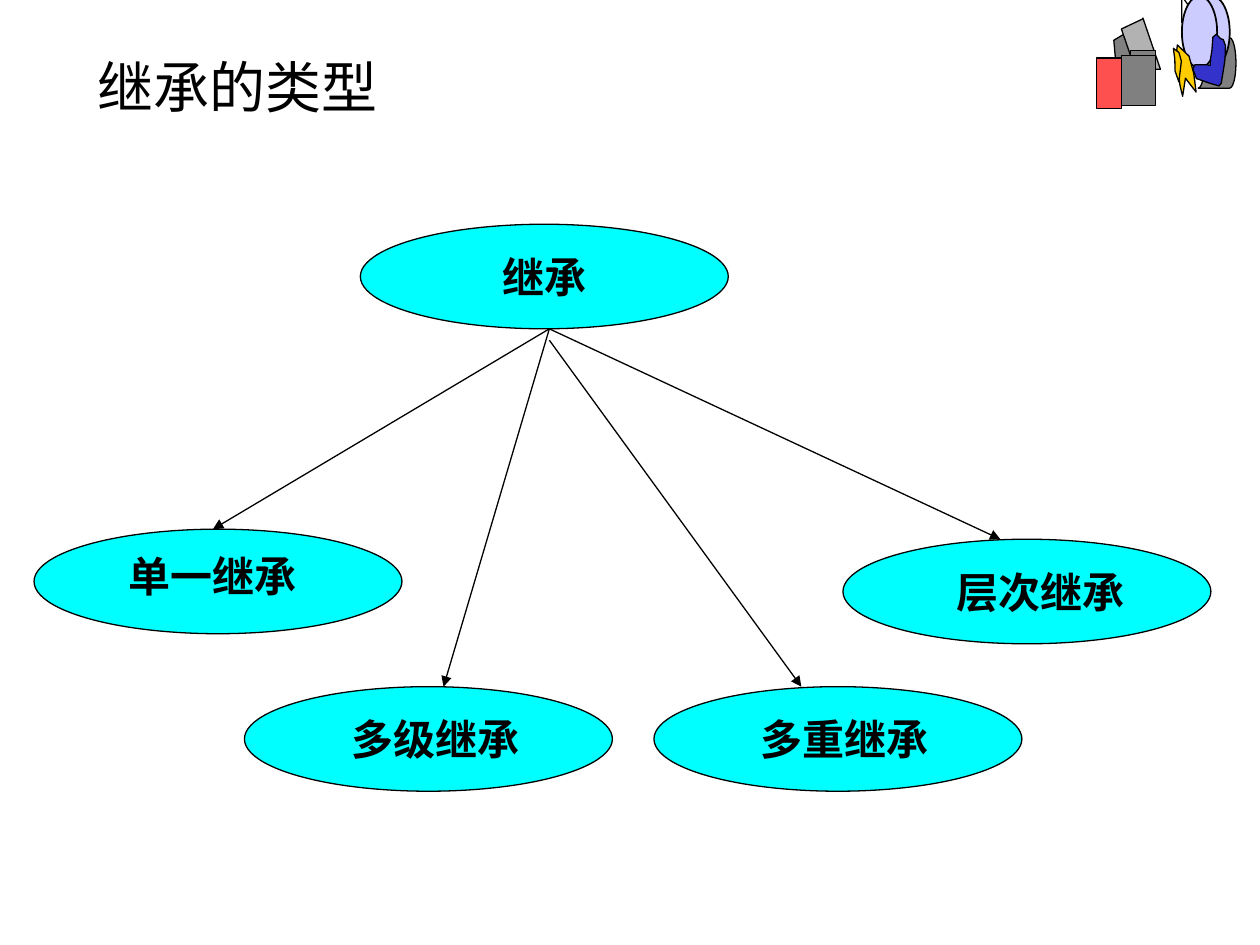
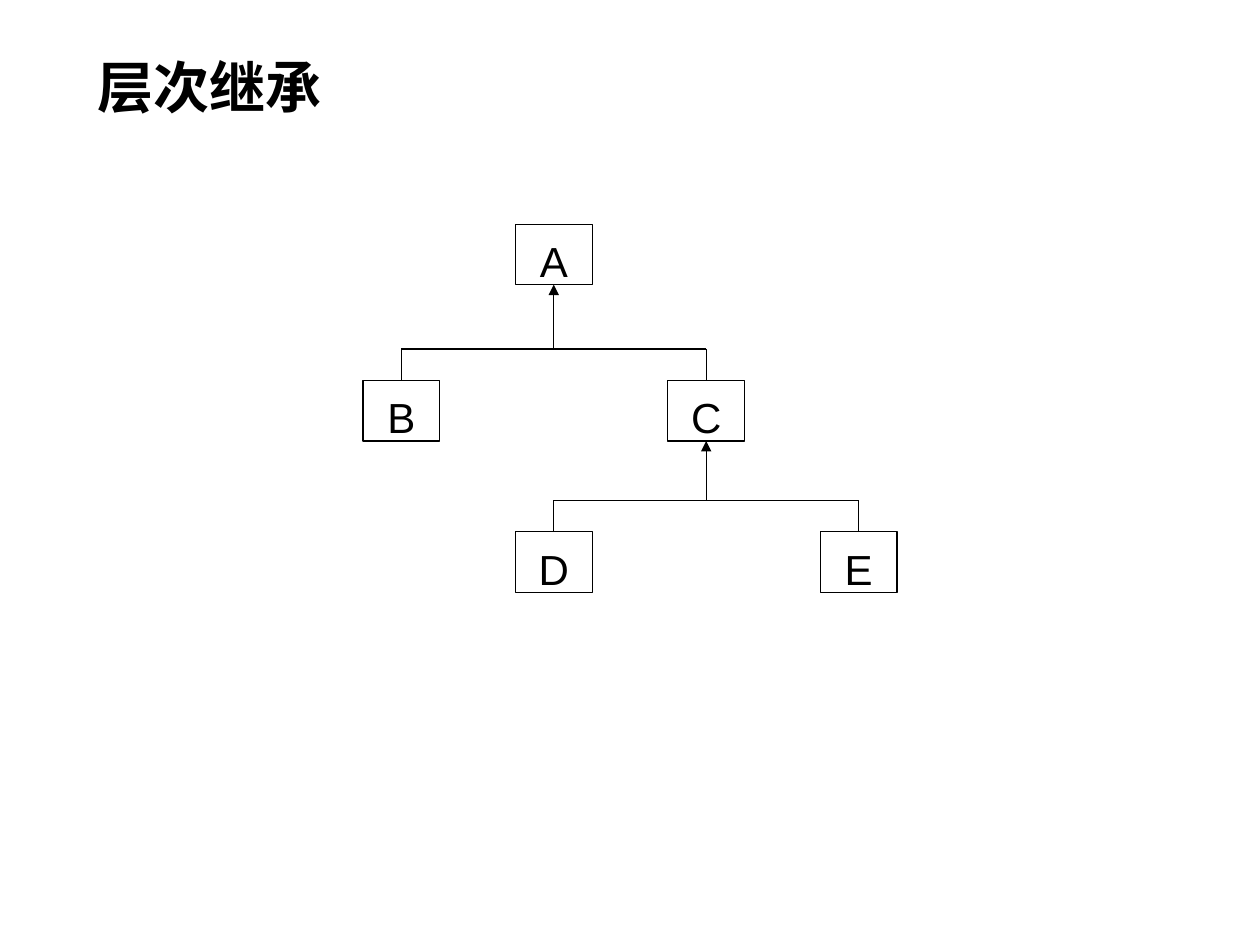
import pptx
import pptx.util
import pptx.dml.color
import pptx.enum.shapes
import pptx.enum.text
import pptx.oxml.ns
from lxml import etree

Inches, Pt = pptx.util.Inches, pptx.util.Pt
RGB = pptx.dml.color.RGBColor
Kind = pptx.enum.shapes.MSO_SHAPE
Wire = pptx.enum.shapes.MSO_CONNECTOR
Align = pptx.enum.text.PP_ALIGN
Anchor = pptx.enum.text.MSO_ANCHOR
qn = pptx.oxml.ns.qn

BLACK = RGB(0x00, 0x00, 0x00)
WHITE = RGB(0xFF, 0xFF, 0xFF)
CYAN = RGB(0x00, 0xFF, 0xFF)
GREY = RGB(0x80, 0x80, 0x80)
SILVER = RGB(0xB2, 0xB2, 0xB2)
RED = RGB(0xFF, 0x50, 0x50)
LILAC = RGB(0xCC, 0xCC, 0xFF)
BLUE = RGB(0x33, 0x33, 0xCC)
GOLD = RGB(0xFF, 0xCC, 0x00)
HAN = "Noto Sans CJK SC"
LABEL = {"size": Pt(24), "bold": True, "name": HAN}
LETTER = {"size": Pt(24), "bold": False, "name": "Arial"}
TILT = 352.8


def write(shape, text, style, align=Align.CENTER, anchor=Anchor.MIDDLE, wrap=True):
    """Put one styled paragraph in a shape."""
    frame = shape.text_frame
    form = {"word_wrap": wrap, "vertical_anchor": anchor,
            "auto_size": pptx.enum.text.MSO_AUTO_SIZE.NONE}
    for key, value in form.items():
        setattr(frame, key, value)
    para = frame.paragraphs[0]
    para.alignment = align
    run = para.add_run()
    run.text = text
    run.font.color.rgb = BLACK
    for key, value in style.items():
        setattr(run.font, key, value)
    etree.SubElement(run._r.get_or_add_rPr(), qn("a:ea"), typeface=style["name"])


def paint(shape, fill, width=0.75):
    """Give a shape its fill and a black outline."""
    shape.shadow.inherit = False
    shape.fill.solid()
    shape.fill.fore_color.rgb = fill
    shape.line.color.rgb = BLACK
    shape.line.width = Pt(width)
    return shape


def block(slide, kind, box, fill, width=0.75):
    """Add a painted preset shape in a box of inches."""
    shape = slide.shapes.add_shape(kind, *map(Inches, box))
    return paint(shape, fill, width)


def link(slide, start, end, first=None, last=None, arrow=False):
    """Draw a line, joined to (shape, site) pairs when given."""
    line = slide.shapes.add_connector(Wire.STRAIGHT, *map(Inches, start + end))
    if first:
        line.begin_connect(*first)
    if last:
        line.end_connect(*last)
    line.line.color.rgb = BLACK
    line.line.width = Pt(0.75)
    props = line._element.spPr
    if arrow:
        etree.SubElement(props.find(qn("a:ln")), qn("a:tailEnd"), type="triangle")
    etree.SubElement(props, qn("a:effectLst"))


def start(deck, text, bold):
    """Add a slide with the shared title style."""
    slide = deck.slides.add_slide(deck.slide_layouts[5])
    title = slide.shapes.title
    place = {"left": 0.67, "top": 0.21, "width": 8.58, "height": 0.94}
    for key, value in place.items():
        setattr(title, key, Inches(value))
    style = {"size": Pt(32), "bold": bold, "name": HAN}
    write(title, text, style, Align.LEFT)
    return slide


def kinds(slide, x, y):
    """Draw the root oval, its four kinds and the arrows between."""
    wide, high = 2.92, 0.83
    root = block(slide, Kind.OVAL, (x + 2.59, y, wide, high), CYAN)
    write(root, "继承", LABEL, wrap=False)
    leaves = [
        ("单一继承", (0, 2.42), (1.42, 2.79), (1.42, 0.83)),
        ("多级继承", (1.67, 3.67), (3.19, 4.08), (3.25, 0.83)),
        ("多重继承", (4.92, 3.67), (6.43, 4.08), (6.09, 0.92)),
        ("层次继承", (6.42, 2.5), (7.99, 2.92), (7.67, 0.83)),
    ]
    for text, (left, top), (mid, row), (tip, drop) in leaves:
        block(slide, Kind.OVAL, (x + left, y + top, wide, high), CYAN)
        link(slide, (x + 4.09, y + drop), (x + tip, y + top), arrow=True)
        box = (x + mid - 1.25, y + row - 0.25, 2.5, 0.5)
        write(slide.shapes.add_textbox(*map(Inches, box)), text, LABEL)


def trace(slide, x, y, points, fill, close=True, turn=0):
    """Draw an outline given in hundredths of an inch."""
    path = slide.shapes.build_freeform(*points[0], scale=Inches(0.01))
    path.add_line_segments(points[1:], close=close)
    shape = paint(path.convert_to_shape(Inches(x), Inches(y)), fill)
    shape.rotation = turn


def figure(slide, x, y):
    """Draw the seated figure with its books."""
    def part(kind, left, top, wide, high, fill, width=0.75):
        """Place a preset part relative to the corner."""
        return block(slide, kind, (x + left, y + top, wide, high), fill, width)

    trace(slide, x, y, [(24, 29), (14, 35), (17, 69), (34, 69)], GREY, False)
    seat = part(Kind.FLOWCHART_STORED_DATA, 0.81, 0.33, 0.3, 0.4, GREY)
    seat._element.spPr.find(qn("a:xfrm")).set("flipH", "1")
    part(Kind.OVAL, 0.71, 0, 0.28, 0.57, RED)
    trace(slide, x, y, [(98, 24), (98, 41), (68, 0), (68, 21), (94, 6)], WHITE)
    for left in (0.78, 0.68):
        part(Kind.OVAL, left, 0, 0.28, 0.57, LILAC, 1)
    trace(slide, x, y, [(37, 18), (20, 26), (31, 58), (51, 58), (37, 17)],
          SILVER, False)
    part(Kind.RECTANGLE, 0.27, 0.43, 0.2, 0.4, GREY)
    part(Kind.RECTANGLE, 0.2, 0.47, 0.27, 0.4, GREY)
    arm = [(98, 31), (95, 33), (93, 43), (91, 50), (90, 55), (87, 54), (78, 53),
           (76, 56), (78, 64), (80, 65), (88, 69), (95, 72), (97, 70), (100, 60),
           (102, 53), (103, 48), (104, 41), (103, 36), (101, 35)]
    hand = [(75, 48), (67, 38), (66, 42), (67, 49), (65, 64), (65, 70), (66, 79),
            (70, 65), (77, 77), (77, 62)]
    thumb = [(67, 45), (63, 41), (63, 50), (62, 59), (64, 68), (66, 60), (68, 52)]
    for points, fill in ((arm, BLUE), (hand, GOLD), (thumb, GOLD)):
        trace(slide, x, y, points, fill, turn=TILT)
    part(Kind.RECTANGLE, 0, 0.49, 0.2, 0.4, RED)


def tree(slide, x, y):
    """Draw the class tree on a grid of columns and rows."""
    wide, high, step, rows = 0.61, 0.48, 1.21, (0, 1.24, 2.44)
    cells = {"A": (1, 0), "B": (0, 1), "C": (2, 1), "D": (1, 2), "E": (3, 2)}
    nodes, mids = {}, {}
    for name, (col, row) in cells.items():
        left, top = x + col * step, y + rows[row]
        node = block(slide, Kind.RECTANGLE, (left, top, wide, high), WHITE)
        node.text_frame.margin_top = Inches(0.09)
        write(node, name, LETTER, anchor=Anchor.TOP)
        nodes[name], mids[name] = node, (left + wide / 2, top)
    for base, kids in (("A", "BC"), ("C", "DE")):
        mid, top = mids[base]
        bar = mids[kids[0]][1] - 0.25
        link(slide, (mid, bar), (mid, top + high), last=(nodes[base], 2), arrow=True)
        link(slide, (mids[kids[0]][0], bar), (mids[kids[1]][0], bar))
        for kid in kids:
            link(slide, (mids[kid][0], bar), mids[kid], last=(nodes[kid], 0))


def main():
    """Build and save both slides."""
    deck = pptx.Presentation()
    deck.slide_width, deck.slide_height = Inches(10), Inches(7.5)
    slide = start(deck, "继承的类型", False)
    kinds(slide, 0.27, 1.78)
    figure(slide, 8.7, -0.03)
    slide = start(deck, "层次继承", True)
    tree(slide, 2.88, 1.78)
    deck.save("out.pptx")


if __name__ == "__main__":
    main()
